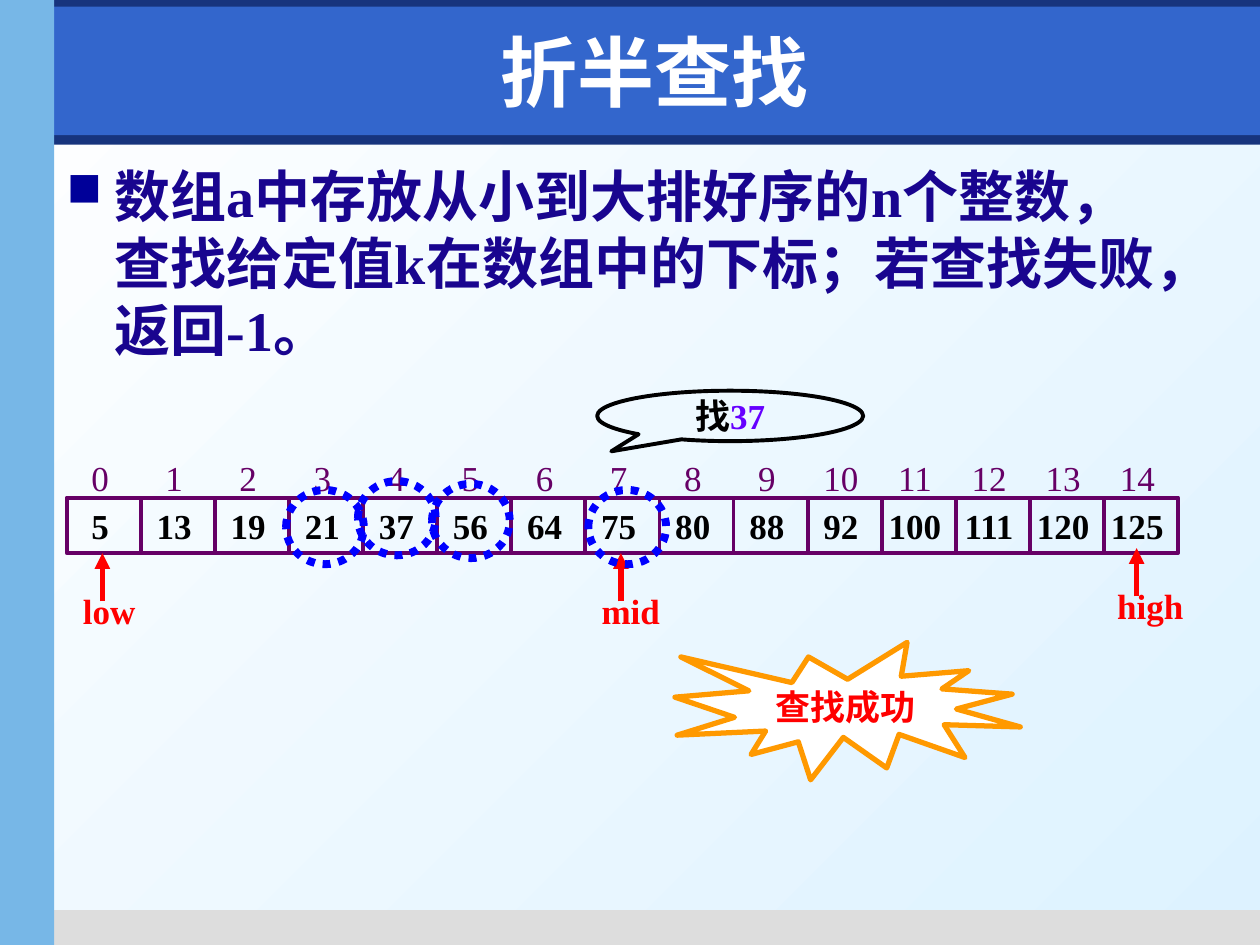
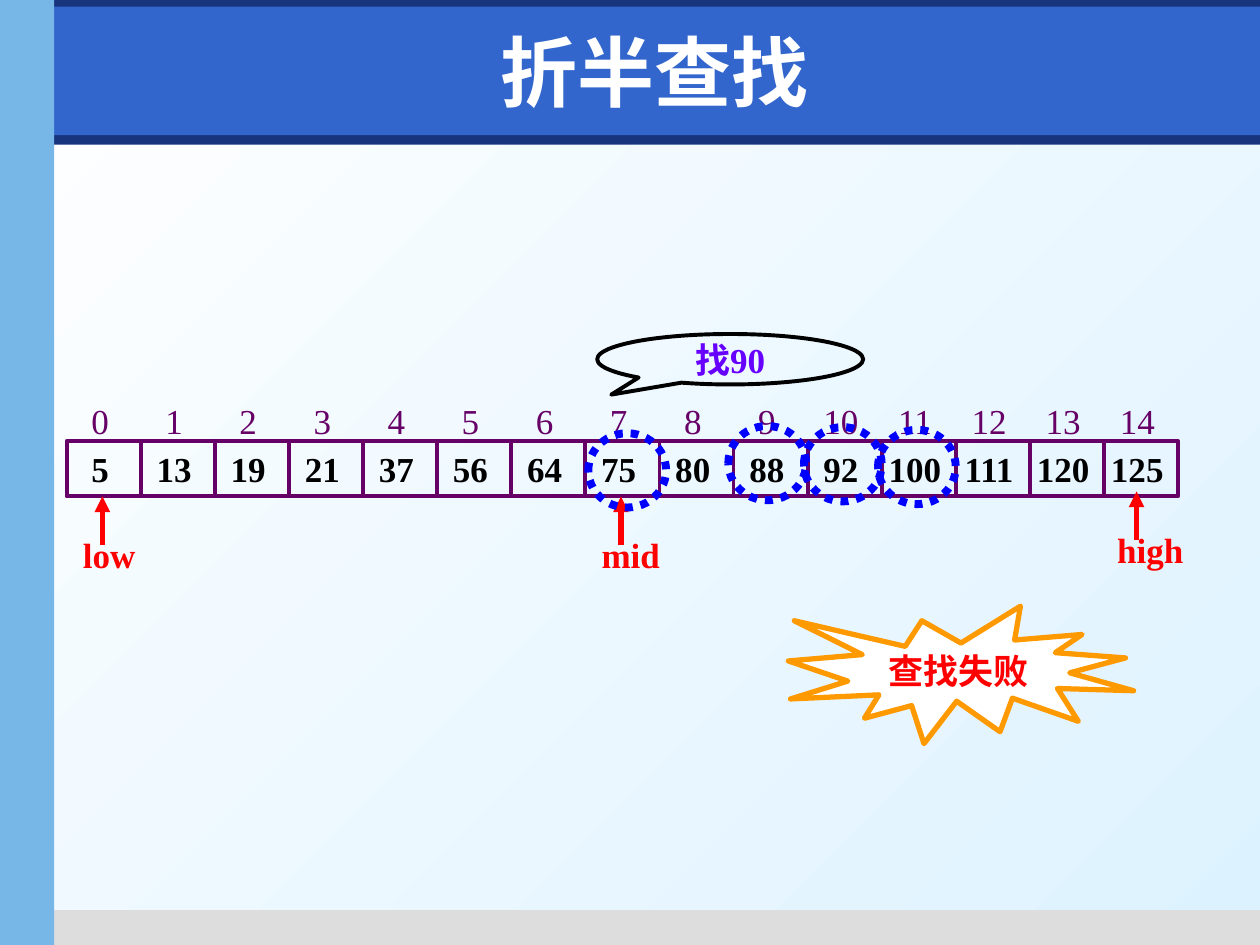
import lxml.etree
import pptx
import pptx.dml.color
import pptx.enum.dml
import pptx.enum.shapes
import pptx.enum.text
import pptx.oxml.ns
import pptx.util

RGB = pptx.dml.color.RGBColor
SHAPE = pptx.enum.shapes.MSO_SHAPE
ALIGN = pptx.enum.text.PP_ALIGN
ANCHOR = pptx.enum.text.MSO_ANCHOR
qn = pptx.oxml.ns.qn

WHITE = RGB(0xFF, 0xFF, 0xFF)
BLACK = RGB(0x00, 0x00, 0x00)
PALE_BLUE = RGB(0xDD, 0xF2, 0xFF)
NAVY = RGB(0x17, 0x34, 0x7D)
BLUE = RGB(0x33, 0x66, 0xCC)
SKY = RGB(0x77, 0xB7, 0xE7)
GREY = RGB(0xDD, 0xDD, 0xDD)
INK = RGB(0x19, 0x05, 0x8F)
BULLET_BLUE = RGB(0x00, 0x00, 0x99)
PURPLE = RGB(0x66, 0x00, 0x66)
VIOLET = RGB(0x66, 0x00, 0xFF)
RED = RGB(0xFF, 0x00, 0x00)
ORANGE = RGB(0xFF, 0x99, 0x00)
PROBE_BLUE = RGB(0x00, 0x00, 0xFF)

SERIF, SANS = "Times New Roman", "DejaVu Sans"
WIDTH, HEIGHT = 10, 7.5
VALUES = [5, 13, 19, 21, 37, 56, 64, 75, 80, 88, 92, 100, 111, 120, 125]
COLUMNS = len(VALUES)
ARRAY_LEFT, ARRAY_WIDTH, ARRAY_HEIGHT = 0.53, 8.82, 0.44
NUMBER_SHIFT = 0.03

# left, top, width, height as shares of the slide
BANDS = [
    (NAVY, (0, 0.143, 1, 0.01)),
    (GREY, (0.035, 0.963, 0.965, 0.037)),
    (NAVY, (0, 0, 1, 0.028)),
    (BLUE, (0.043, 0.007, 0.957, 0.136)),
    (SKY, (0, 0, 0.043, 1)),
]
TITLE_BOX = (0.059, 0.017, 0.921, 0.116)
BODY_BOX = (0.043, 0.164, 0.892, 0.787)


def inches(box):
    return [pptx.util.Inches(v) for v in box]


def slide_share(box):
    """Turn shares of the slide into inches."""
    return [v * size for v, size in zip(box, (WIDTH, HEIGHT) * 2)]


def add_shape(s, kind, box, fill=None, line=None, weight=2.25):
    sp = s.shapes.add_shape(kind, *inches(box))
    sp.shadow.inherit = False
    if fill is None:
        sp.fill.background()
    else:
        sp.fill.solid()
        sp.fill.fore_color.rgb = fill
    if line is None:
        sp.line.fill.background()
    else:
        sp.line.color.rgb = line
        sp.line.width = pptx.util.Pt(weight)
    return sp


def add_line(s, start, end, color, weight, arrow=False):
    line = s.shapes.add_connector(
        pptx.enum.shapes.MSO_CONNECTOR.STRAIGHT, *inches(start + end))
    line.line.color.rgb = color
    line.line.width = pptx.util.Pt(weight)
    if arrow:
        ln = line._element.spPr.find(qn("a:ln"))
        lxml.etree.SubElement(ln, qn("a:tailEnd"), type="triangle")
    lxml.etree.SubElement(line._element.spPr, qn("a:effectLst"))


def write(sp, runs, size=20, font=SERIF, bold=True, align=ALIGN.LEFT,
          anchor=ANCHOR.TOP, wrap=True):
    """Fill a shape with one paragraph of (text, colour) runs."""
    tf = sp.text_frame
    tf.word_wrap = wrap
    tf.vertical_anchor = anchor
    p = tf.paragraphs[0]
    p.alignment = align
    look = {"name": font, "size": pptx.util.Pt(size), "bold": bold}
    for text, color in runs:
        r = p.add_run()
        r.text = text
        for key, value in look.items():
            setattr(r.font, key, value)
        r.font.color.rgb = color
    return p


def add_text(s, box, *args, **look):
    return write(s.shapes.add_textbox(*inches(box)), *args, **look)


def write_columns(sp, numbers, color, bold, anchor):
    """Centre each number on its array column by tab stops."""
    sp.text_frame.margin_left = sp.text_frame.margin_right = 0
    text = "".join(f"\t{n}" for n in numbers)
    p = write(sp, [(text, color)], bold=bold, anchor=anchor)
    tabs = lxml.etree.SubElement(p._p.get_or_add_pPr(), qn("a:tabLst"))
    for i in range(COLUMNS):
        stop = (i + 0.5) * ARRAY_WIDTH / COLUMNS - NUMBER_SHIFT
        lxml.etree.SubElement(tabs, qn("a:tab"), pos=str(int(pptx.util.Inches(stop))), algn="ctr")


def add_frame(prs):
    """Add a slide with the background, the bands and the title."""
    s = prs.slides.add_slide(prs.slide_layouts[6])
    fill = s.background.fill
    fill.gradient()
    fill.gradient_angle = 315
    for stop, color, position in zip(fill.gradient_stops, (WHITE, PALE_BLUE), (0, 1)):
        stop.color.rgb = color
        stop.position = position
    for color, box in BANDS:
        add_shape(s, SHAPE.RECTANGLE, slide_share(box), color)
    add_text(s, slide_share(TITLE_BOX), [("折半查找", WHITE)], size=44, font=SANS,
             align=ALIGN.CENTER, anchor=ANCHOR.MIDDLE)
    return s


def add_body(s, box, text):
    p = add_text(s, box, [(text, INK)], size=32)
    p.space_before = pptx.util.Pt(6.4)
    pPr = p._p.get_or_add_pPr()
    indent = int(pptx.util.Inches(0.38))
    pPr.set("marL", str(indent))
    pPr.set("indent", str(-indent))
    color = lxml.etree.SubElement(pPr, qn("a:buClr"))
    lxml.etree.SubElement(color, qn("a:srgbClr"), val=str(BULLET_BLUE))
    lxml.etree.SubElement(pPr, qn("a:buSzPct"), val="85000")
    lxml.etree.SubElement(pPr, qn("a:buChar"), char="■")


def add_search(s, box, target, probes, verdict, verdict_at):
    """Draw the array in its box, and around it the search, in columns and rows."""
    left, top, width, height = box
    col = width / COLUMNS

    def point(c, r):
        return left + c * col, top + r * height

    def area(c, r, cols, rows):
        return (*point(c, r), cols * col, rows * height)

    for i in range(1, COLUMNS):
        add_line(s, point(i, 0), point(i, 1), PURPLE, 2.25)
    indices = s.shapes.add_textbox(*inches(area(0, -0.86, COLUMNS, 0.97)))
    write_columns(indices, range(COLUMNS), PURPLE, False, ANCHOR.TOP)
    cells = add_shape(s, SHAPE.RECTANGLE, box, line=PURPLE)
    write_columns(cells, VALUES, BLACK, True, ANCHOR.MIDDLE)

    callout = add_shape(s, SHAPE.OVAL_CALLOUT, area(7.16, -1.93, 3.59, 0.91), line=BLACK)
    callout.adjustments[0], callout.adjustments[1] = -0.447, 0.702
    write(callout, target, align=ALIGN.CENTER, anchor=ANCHOR.MIDDLE, wrap=False)

    for name, c, tip in (("low", 0.48, 1), ("high", 14.44, 0.91), ("mid", 7.48, 1)):
        add_line(s, point(c, tip + 0.87), point(c, tip), RED, 3, arrow=True)
        add_text(s, area(c - 0.43, tip + 0.55, 1.4, 0.97), [(name, RED)])

    for c, r in probes:
        ring = add_shape(s, SHAPE.OVAL, area(c, r, 1.05, 1.34), line=PROBE_BLUE, weight=4.5)
        ring.line.dash_style = pptx.enum.dml.MSO_LINE.ROUND_DOT

    burst = add_shape(s, SHAPE.EXPLOSION1, area(*verdict_at, 4.66, 2.48), WHITE, ORANGE, 3)
    write(burst, [(verdict, RED)], align=ALIGN.CENTER, anchor=ANCHOR.MIDDLE)


def main():
    prs = pptx.Presentation()
    prs.slide_width, prs.slide_height = inches((WIDTH, HEIGHT))

    s = add_frame(prs)
    add_body(s, slide_share(BODY_BOX),
             "数组a中存放从小到大排好序的n个整数，查找给定值k在数组中的下标；若查找失败，返回-1。")
    add_search(s, (ARRAY_LEFT, 3.95, ARRAY_WIDTH, ARRAY_HEIGHT),
               [("找", BLACK), ("37", VIOLET)],
               [(7.04, -0.14), (2.96, -0.14), (4.93, -0.25), (3.93, -0.3)],
               "查找成功", (8.21, 2.61))

    s = add_frame(prs)
    add_search(s, (ARRAY_LEFT, 3.5, ARRAY_WIDTH, ARRAY_HEIGHT),
               [("找90", VIOLET)],
               [(7.04, -0.14), (10.95, -0.2), (8.93, -0.27), (9.95, -0.25)],
               "查找失败", (9.74, 2.98))
    prs.save("out.pptx")


if __name__ == "__main__":
    main()
